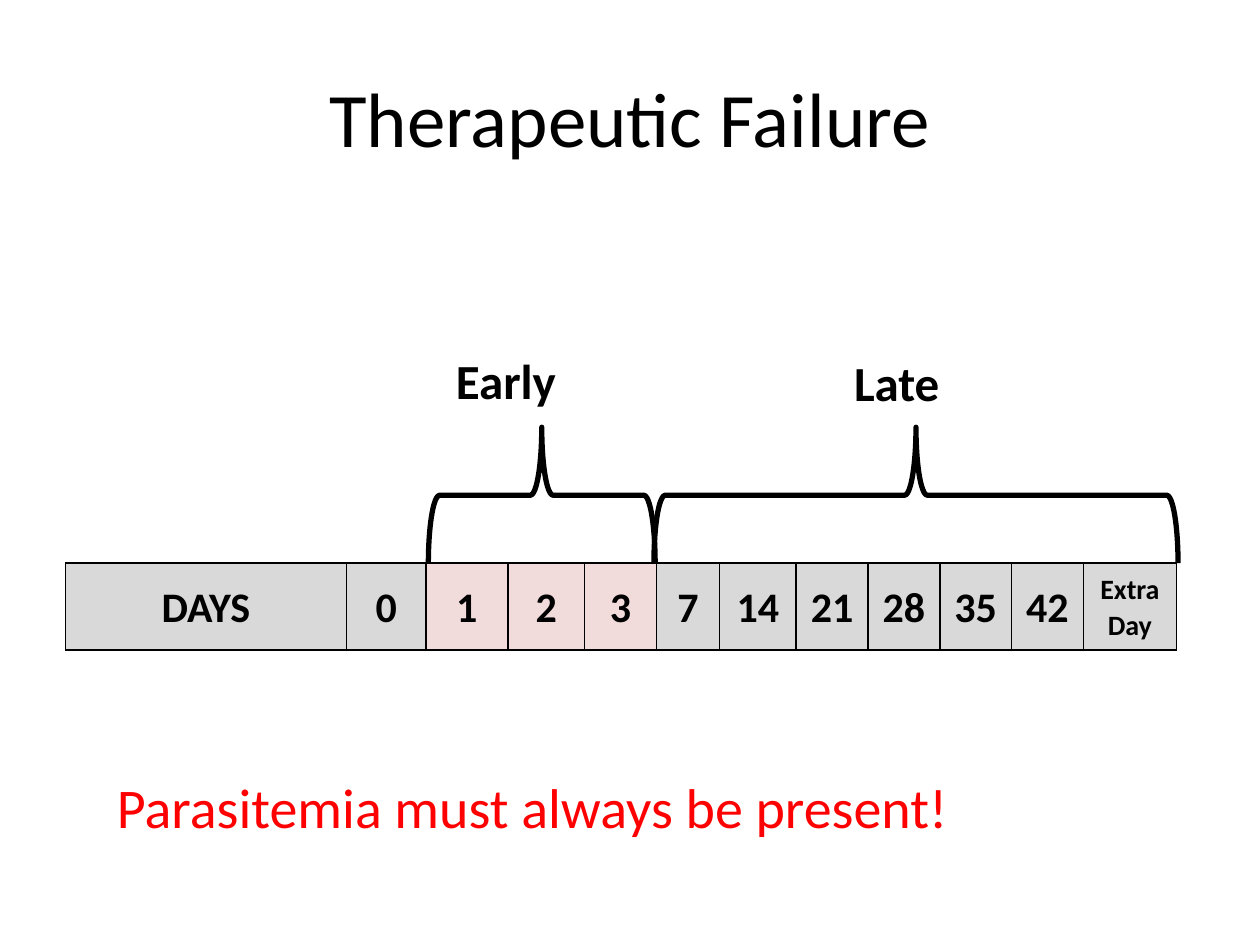
"""Build the Therapeutic Failure slide: a day timeline with early and late braces."""
from pptx import Presentation
from pptx import util as u
from pptx.dml.color import RGBColor
from pptx.enum import shapes, text
from pptx.oxml import parse_xml
from pptx.oxml.ns import nsdecls

COLORS = {"ink": "000000", "grey": "D9D9D9", "pink": "F2DCDB", "red": "FF0000"}
DAYS = [("DAYS", 2.23), ("0", 0.63), ("1", 0.65), ("2", 0.61), ("3", 0.57), ("7", 0.5),
        ("14", 0.61), ("21", 0.57), ("28", 0.57), ("35", 0.57), ("42", 0.57), ("Extra Day", 0.74)]
EARLY_DAYS = ("1", "2", "3")


def set_font(para, size, color="ink", bold=False):
    para.font.name = "Calibri"
    para.font.size = u.Pt(size)
    para.font.bold = bold
    para.font.color.rgb = RGBColor.from_string(COLORS[color])


def add_label(page, words, left, top, width, height, size, color="ink", bold=False):
    box = page.shapes.add_textbox(*map(u.Inches, (left, top, width, height)))
    box.text_frame.word_wrap = True
    para = box.text_frame.paragraphs[0]
    para.text = words
    set_font(para, size, color, bold)


deck = Presentation()
deck.slide_width, deck.slide_height = u.Inches(10), u.Inches(7.5)
page = deck.slides.add_slide(deck.slide_layouts[5])

title = page.shapes.title
title.left, title.top, title.width, title.height = map(u.Inches, (0.5, 0.3, 9, 1.25))
title.text_frame.text = "Therapeutic Failure"
title.text_frame.vertical_anchor = text.MSO_ANCHOR.MIDDLE
title.text_frame.paragraphs[0].alignment = text.PP_ALIGN.CENTER
set_font(title.text_frame.paragraphs[0], 44)

add_label(page, "Parasitemia must always be present!", 0.83, 6.08, 9, 0.83, 32, "red")

frame = page.shapes.add_table(1, len(DAYS), u.Inches(0.52), u.Inches(4.47),
                              u.Inches(8.84), u.Inches(0.69))
table = frame.table
table.first_row = table.horz_banding = False
for column, (day, width) in enumerate(DAYS):
    table.columns[column].width = u.Inches(width)
    cell = table.cell(0, column)
    cell.vertical_anchor = text.MSO_ANCHOR.MIDDLE
    cell.margin_left = cell.margin_right = u.Inches(0.05)
    cell.margin_top = cell.margin_bottom = 0
    para = cell.text_frame.paragraphs[0]
    para.text = day
    para.alignment = text.PP_ALIGN.CENTER
    para.line_spacing = 1.07
    para.space_after = u.Pt(8)
    set_font(para, 16 if day == "Extra Day" else 24, bold=True)
    for position, side in enumerate(("lnL", "lnR", "lnT", "lnB")):
        border = parse_xml(f'<a:{side} {nsdecls("a")} w="12700"><a:solidFill>'
                           f'<a:srgbClr val="{COLORS["ink"]}"/></a:solidFill></a:{side}>')
        cell._tc.get_or_add_tcPr().insert(position, border)
    cell.fill.solid()
    fill = "pink" if day in EARLY_DAYS else "grey"
    cell.fill.fore_color.rgb = RGBColor.from_string(COLORS[fill])

for left, top, length in ((3.76, 3.03, 1.8), (6.73, 1.85, 4.16)):
    brace = page.shapes.add_shape(shapes.MSO_SHAPE.RIGHT_BRACE, u.Inches(left), u.Inches(top),
                                  u.Inches(1.08), u.Inches(length))
    brace.rotation = 270
    brace.shadow.inherit = False
    brace.fill.background()
    brace.line.color.rgb = RGBColor.from_string(COLORS["ink"])
    brace.line.width = u.Pt(3)

add_label(page, "Early", 3.52, 2.73, 1.48, 0.57, 28, bold=True)
add_label(page, "Late", 6.68, 2.75, 1.2, 0.57, 28, bold=True)

deck.save("out.pptx")
